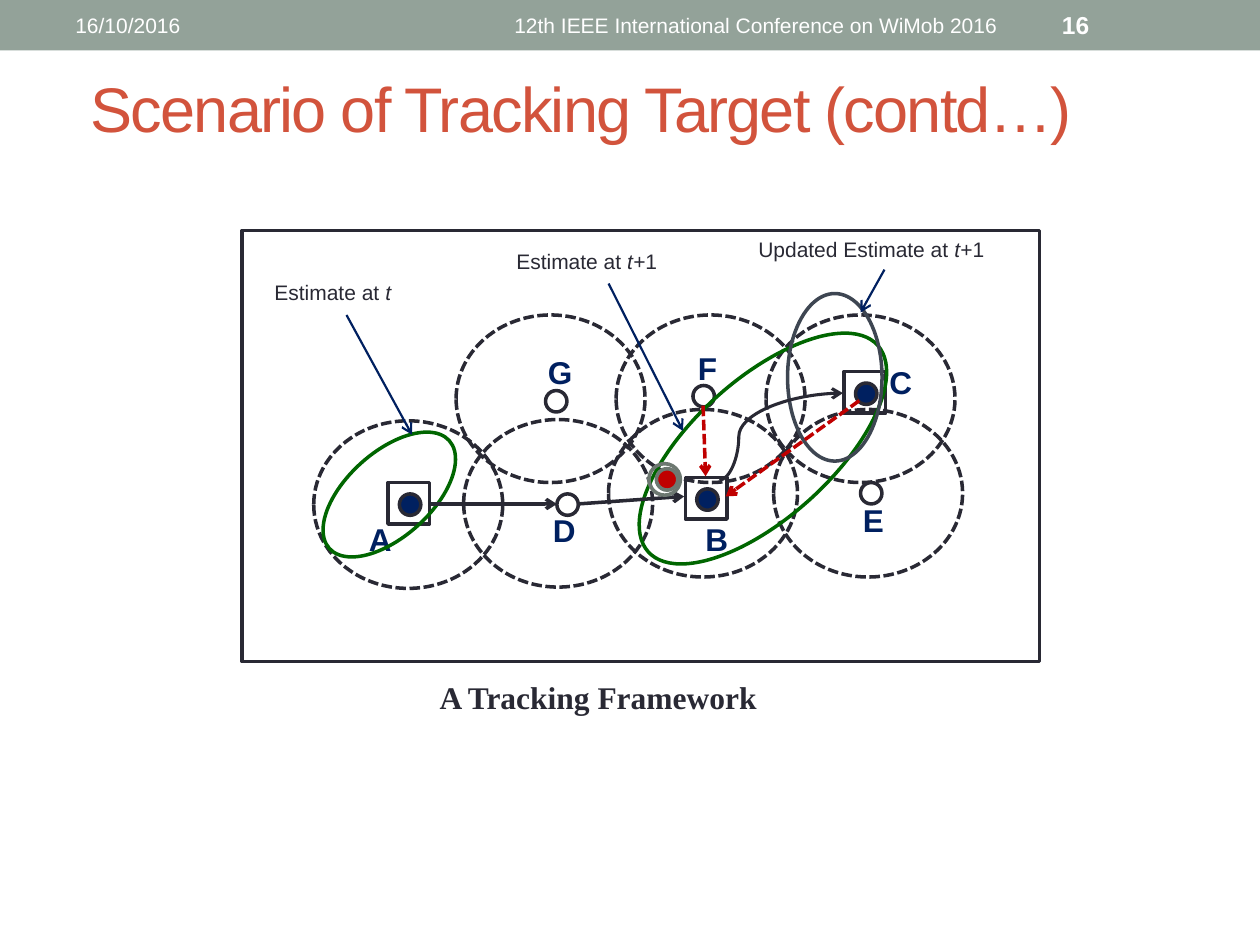
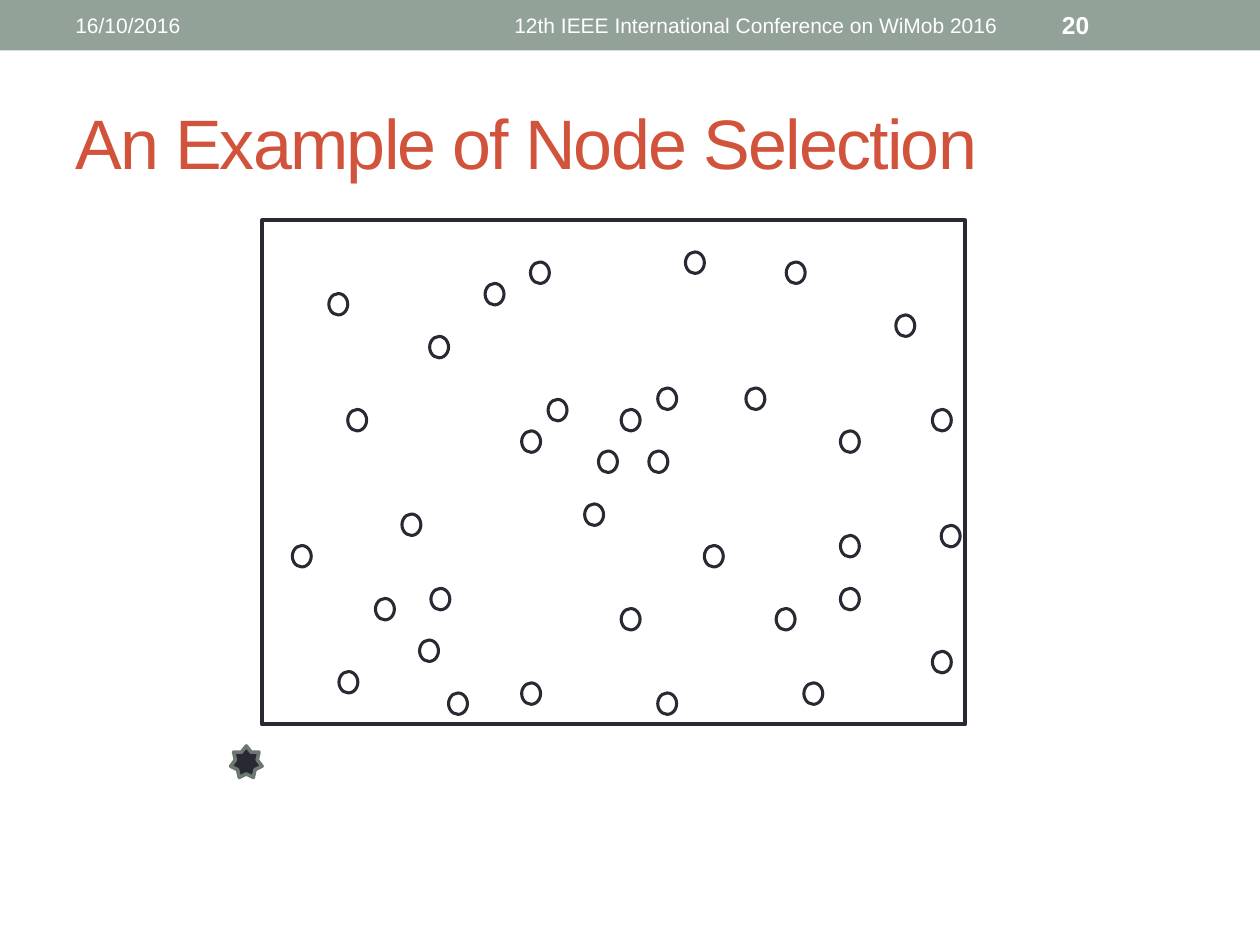
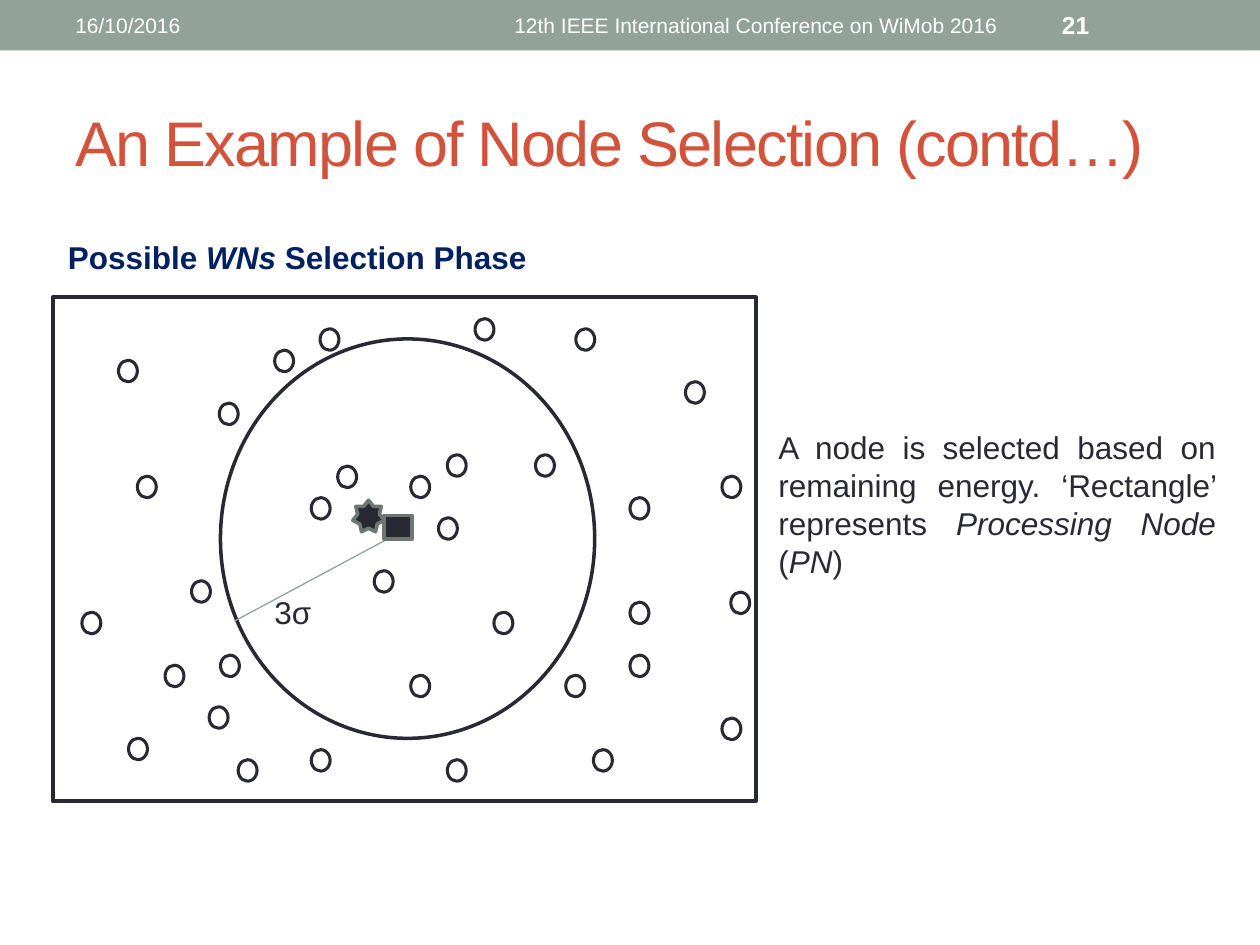
from dataclasses import dataclass
from typing import Optional

from lxml import etree
from pptx import Presentation
from pptx import util as u
from pptx.dml.color import RGBColor
from pptx.enum import dml, shapes, text
from pptx.oxml.ns import qn

# Shared colours, kinds and scale (100 px to the inch)
SCALE = 9144
INK, NAVY, RED, GREEN = "292934", "002060", "C00000", "006600"
SLATE, MOSS, BAND, WHITE, RUST = "3E4652", "6D7871", "93A299", "FFFFFF", "D2533C"
OVAL, RECT, STAR = (shapes.MSO_SHAPE.OVAL, shapes.MSO_SHAPE.RECTANGLE,
                    shapes.MSO_SHAPE.STAR_7_POINT)
STRAIGHT, CURVE = shapes.MSO_CONNECTOR.STRAIGHT, shapes.MSO_CONNECTOR.CURVE
DASH = dml.MSO_LINE.SQUARE_DOT
LEFT, MID, FULL = text.PP_ALIGN.LEFT, text.PP_ALIGN.CENTER, text.PP_ALIGN.JUSTIFY

Box = tuple[int, int, int, int]
Spot = tuple[int, int]


@dataclass
class Form:
    box: Box
    kind: int = OVAL
    line: Optional[str] = INK
    width: float = 2
    fill: Optional[str] = None
    dash: bool = False
    turn: int = 0


@dataclass
class Link:
    start: Spot
    end: Spot
    line: str = INK
    width: float = 2
    dash: bool = False
    arrow: bool = True
    bend: Optional[int] = None


@dataclass
class Label:
    box: Box
    words: str  # asterisks switch italics on and off
    size: int = 18
    color: str = INK
    bold: bool = False
    face: str = "Arial"
    align: int = LEFT
    wrap: bool = False
    anchor: int = text.MSO_ANCHOR.TOP
    track: int = 0


@dataclass
class Node:
    name: str
    dot: Spot
    cover: Spot
    tag: Spot
    busy: bool = False


# Drawing helpers
def px(n: int) -> int:
    return u.Emu(n * SCALE)


def rgb(code: str) -> RGBColor:
    return RGBColor.from_string(code)


def stroke(line, color: str, width: float, dash: bool) -> None:
    line.color.rgb = rgb(color)
    line.width = u.Pt(width)
    if dash:
        line.dash_style = DASH


def draw(slide, form: Form) -> None:
    shape = slide.shapes.add_shape(form.kind, *map(px, form.box))
    shape.shadow.inherit = False
    shape.rotation = form.turn
    if form.fill:
        shape.fill.solid()
        shape.fill.fore_color.rgb = rgb(form.fill)
    else:
        shape.fill.background()
    if form.line:
        stroke(shape.line, form.line, form.width, form.dash)
    else:
        shape.line.fill.background()


def join(slide, link: Link) -> None:
    kind = STRAIGHT if link.bend is None else CURVE
    wire = slide.shapes.add_connector(kind, *map(px, link.start + link.end))
    stroke(wire.line, link.line, link.width, link.dash)
    props = wire._element.spPr
    if link.arrow:
        etree.SubElement(props.find(qn("a:ln")), qn("a:tailEnd"), type="arrow")
    etree.SubElement(props, qn("a:effectLst"))
    if link.bend is not None:
        geom = props.find(qn("a:prstGeom"))
        for old in list(geom):
            geom.remove(old)
        guides = etree.SubElement(geom, qn("a:avLst"))
        etree.SubElement(guides, qn("a:gd"), name="adj1", fmla=f"val {link.bend}")


def write(slide, label: Label) -> None:
    frame = slide.shapes.add_textbox(*map(px, label.box)).text_frame
    fit = {"word_wrap": label.wrap, "vertical_anchor": label.anchor,
           "auto_size": text.MSO_AUTO_SIZE.NONE if label.wrap
           else text.MSO_AUTO_SIZE.SHAPE_TO_FIT_TEXT}
    for key, value in fit.items():
        setattr(frame, key, value)
    para = frame.paragraphs[0]
    para.alignment = label.align
    for i, part in enumerate(label.words.split("*")):
        if not part:
            continue
        run = para.add_run()
        run.text = part
        look = {"name": label.face, "size": u.Pt(label.size),
                "bold": label.bold, "italic": i % 2 == 1}
        for key, value in look.items():
            setattr(run.font, key, value)
        run.font.color.rgb = rgb(label.color)
        if label.track:
            run._r.get_or_add_rPr().set("spc", str(label.track))


def page(deck, number: int, title: str, size: int = 36, at: Spot = (50, 58)):
    """Adds a slide with its band, header texts and title."""
    slide = deck.slides.add_slide(deck.slide_layouts[6])
    mid = {"wrap": True, "anchor": text.MSO_ANCHOR.MIDDLE}
    head = {"color": WHITE, **mid}
    draw(slide, Form((0, 0, 1000, 40), RECT, line=None, fill=BAND))
    write(slide, Label((50, 2, 317, 36), "16/10/2016", 12, **head))
    write(slide, Label((375, 2, 450, 36),
                       "12th IEEE International Conference on WiMob 2016",
                       12, align=MID, **head))
    write(slide, Label((833, 2, 117, 36), str(number), 14, bold=True, **head))
    write(slide, Label((*at, 930, 108), title, size, RUST, track=-100, **mid))
    return slide


# Tracking scenario
NODES = [
    Node("A", (317, 392), (249, 334), (283, 408), True),
    Node("D", (442, 392), (368, 333), (429, 401)),
    Node("B", (553, 388), (483, 325), (550, 408), True),
    Node("E", (683, 383), (614, 325), (675, 393)),
    Node("C", (679, 304), (608, 250), (696, 283), True),
    Node("F", (550, 306), (489, 250), (544, 272)),
    Node("G", (433, 310), (362, 250), (425, 275)),
]
ESTIMATES = [
    Form((245, 359, 128, 67), line=GREEN, turn=318),
    Form((483, 301, 245, 110), line=GREEN, turn=318),
    Form((596, 262, 133, 75), line=SLATE, turn=90),
]
TARGET = [
    Form((521, 372, 17, 17), line=MOSS, width=2.08, fill=RED),
    Form((515, 368, 25, 25), line=MOSS, width=2.08),
]
LINKS = [
    Link((342, 400), (442, 400)),
    Link((458, 400), (543, 394)),
    Link((558, 322), (560, 378), RED, dash=True),
    Link((682, 318), (576, 394), RED, dash=True),
    Link((571, 381), (669, 312), width=1.75, bend=15700),
    Link((275, 250), (327, 345), NAVY, 1.25),
    Link((483, 225), (542, 342), NAVY, 1.25),
    Link((702, 214), (683, 248), NAVY, 1.25),
]
NOTES = [
    Label((208, 217, 126, 30), "Estimate at *t*", 12),
    Label((400, 192, 147, 30), "Estimate at *t+*1", 12),
    Label((592, 183, 222, 30), "Updated Estimate at *t+*1", 12),
    Label((339, 533, 292, 40), "A Tracking Framework", bold=True,
          face="Times New Roman"),
]


def scenario(deck) -> None:
    slide = page(deck, 16, "Scenario of Tracking Target (contd…)", at=(62, 31))
    draw(slide, Form((192, 183, 633, 342), RECT))
    for node in NODES:
        x, y = node.dot
        draw(slide, Form((x, y, 17, 17), fill=NAVY if node.busy else None))
        draw(slide, Form((*node.cover, 150, 133), dash=True))
        if node.busy:
            draw(slide, Form((x - 9, y - 9, 33, 33), RECT, width=2.08))
        write(slide, Label((*node.tag, 38, 40), node.name, color=NAVY, bold=True))
    for form in ESTIMATES:
        draw(slide, form)
    for link in LINKS:
        join(slide, link)
    for form in TARGET:
        draw(slide, form)
    for note in NOTES:
        write(slide, note)


# Node selection
PICK = (475, 358)
FIELD = [
    (421, 208), (232, 433), (624, 208), (319, 408), (261, 233), (341, 267),
    (276, 325), (269, 533), (667, 425), (711, 250), (740, 325), (740, 517),
    (747, 417), (356, 550), (342, 467), (298, 475), (414, 542), (464, 400),
    (333, 508), (522, 550), (414, 342), (435, 317), (544, 200), (616, 483),
    (667, 467), (385, 225), (493, 325), (522, 308), PICK, (592, 308),
    (515, 358), (667, 342), (493, 483), (559, 433), (638, 542),
]


def scatter(slide, corner: Spot, spots: list[Spot], shift: Spot = (0, 0)) -> None:
    draw(slide, Form((*corner, 558, 400), RECT, width=2.25))
    for x, y in spots:
        draw(slide, Form((x + shift[0], y + shift[1], 15, 17), width=1.75))


def star(slide, at: Spot) -> None:
    draw(slide, Form((*at, 25, 25), STAR, MOSS, 2.08, INK))


def start(deck) -> None:
    slide = page(deck, 20, "An Example of Node Selection", 40)
    scatter(slide, (208, 175), FIELD)
    star(slide, (183, 592))


def choice(deck) -> None:
    slide = page(deck, 21, "An Example of Node Selection (contd…)")
    rest = [spot for spot in FIELD if spot != PICK]
    scatter(slide, (42, 236), rest, (-167, 53))
    draw(slide, Form((175, 269, 297, 317)))
    join(slide, Link((311, 426), (186, 493), BAND, 0.75, arrow=False))
    star(slide, (280, 397))
    draw(slide, Form((305, 409, 22, 19), RECT, MOSS, 2.08, INK))
    write(slide, Label((208, 466, 50, 40), "3σ"))
    write(slide, Label((44, 184, 409, 40), "Possible *WNs *Selection Phase",
                       color=NAVY, bold=True))
    write(slide, Label((608, 335, 367, 131),
                       "A node is selected based on remaining energy. ‘Rectangle’ "
                       "represents *Processing Node *(*PN*)", align=FULL, wrap=True))


def main() -> None:
    deck = Presentation()
    deck.slide_width, deck.slide_height = px(1000), px(750)
    for build in (scenario, start, choice):
        build(deck)
    deck.save("out.pptx")


if __name__ == "__main__":
    main()
